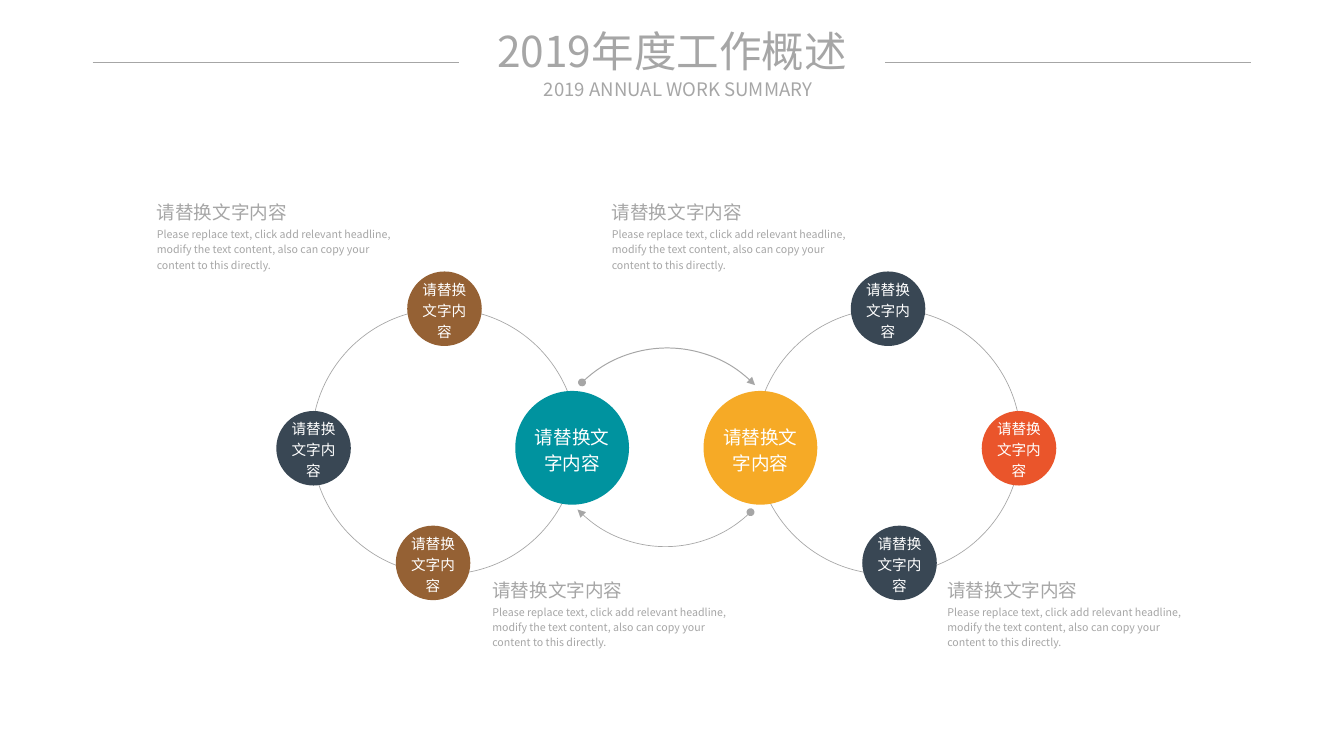
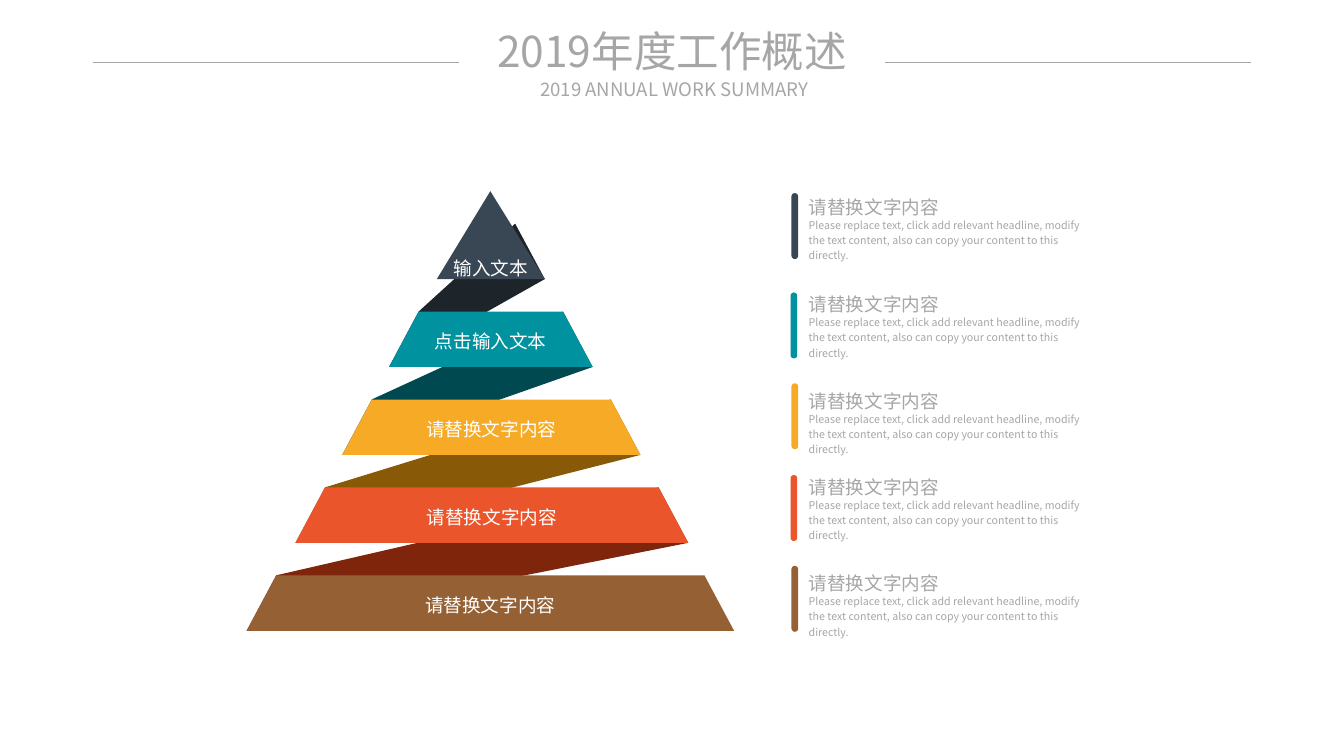
from typing import NamedTuple

from lxml import etree
from pptx import Presentation
from pptx import util as u
from pptx.dml.color import RGBColor
from pptx.enum import shapes, text
from pptx.oxml import ns

PX = u.Inches(1) // 100
FONT = "Noto Sans CJK SC"

GREY = RGBColor(0xA6, 0xA6, 0xA6)
WHITE = RGBColor(0xFF, 0xFF, 0xFF)
SLATE = RGBColor(0x39, 0x47, 0x54)
TEAL = RGBColor(0x00, 0x93, 0x9F)
AMBER = RGBColor(0xF6, 0xAA, 0x26)
ORANGE = RGBColor(0xEA, 0x55, 0x2B)
BROWN = RGBColor(0x95, 0x61, 0x34)
DARK_SLATE = RGBColor(0x1D, 0x24, 0x2A)
DARK_TEAL = RGBColor(0x00, 0x49, 0x50)
DARK_AMBER = RGBColor(0x88, 0x59, 0x06)
DARK_ORANGE = RGBColor(0x7E, 0x25, 0x0C)

TITLE = "2019年度工作概述"
SUBTITLE = "2019 ANNUAL WORK SUMMARY"
HEADING = "请替换文字内容"
DESCRIPTION = (
    "Please replace text, click add relevant headline, modify the text content, "
    "also can copy your content to this directly."
)


class Disc(NamedTuple):
    left: int
    top: int
    size: int
    points: int
    fill: RGBColor
    mirror_fill: RGBColor


class Arc(NamedTuple):
    left: int
    top: int
    rotation: float
    width: float


class Layer(NamedTuple):
    left: int
    right: int
    fill: RGBColor
    fold: RGBColor | None
    label: str


class Entry(NamedTuple):
    bar_left: int
    bar_top: int
    text_top: int


MIRROR_AXIS = 697
RING_LEFT, RING_TOP, RING_SIZE = 326, 323, 278
DISCS = [
    Disc(539, 409, 119, 14, TEAL, AMBER),
    Disc(289, 430, 78, 11, SLATE, ORANGE),
    Disc(426, 284, 78, 11, BROWN, SLATE),
    Disc(414, 550, 78, 11, BROWN, SLATE),
]
ARC_SIZE = 256
ARCS = [Arc(570, 364, 315.9, 0.75), Arc(568, 316, 135.9, 0.5)]
CAPTIONS = [(515, 601), (991, 601), (164, 206), (640, 206)]

LAYER_BOTTOM, LAYER_STEP, LAYER_HEIGHT, LAYER_SLANT = 292, 92, 58, 31
APEX = (513, 200)
LAYERS = [
    Layer(457, 570, SLATE, DARK_SLATE, "输入文本"),
    Layer(407, 620, TEAL, DARK_TEAL, "点击输入文本"),
    Layer(358, 670, AMBER, DARK_AMBER, HEADING),
    Layer(309, 720, ORANGE, DARK_ORANGE, HEADING),
    Layer(258, 768, BROWN, None, HEADING),
]
ENTRIES = [
    Entry(828, 202, 200),
    Entry(827, 306, 302),
    Entry(828, 401, 403),
    Entry(827, 497, 493),
    Entry(828, 592, 594),
]


def place(shape, left: int, top: int, width: int, height: int) -> None:
    shape.left, shape.top = left * PX, top * PX
    shape.width, shape.height = width * PX, height * PX


def write(
    shape,
    content: str,
    points: int,
    colour: RGBColor,
    align=text.PP_ALIGN.CENTER,
    anchor=text.MSO_ANCHOR.MIDDLE,
    spacing: float = 1.2,
    wrap: bool = True,
    fit=text.MSO_AUTO_SIZE.NONE,
) -> None:
    """Fill a shape with one paragraph, without insets."""
    frame = shape.text_frame
    frame.margin_left = frame.margin_right = frame.margin_top = frame.margin_bottom = 0
    frame.vertical_anchor = anchor
    frame.word_wrap = wrap
    frame.auto_size = fit
    paragraph = frame.paragraphs[0]
    paragraph.text = content
    paragraph.alignment = align
    paragraph.line_spacing = spacing
    paragraph.space_before = u.Pt(0)
    font = paragraph.font
    font.size = u.Pt(points)
    font.color.rgb = colour
    font.name = FONT
    defaults = paragraph._p.pPr.find(ns.qn("a:defRPr"))
    etree.SubElement(defaults, ns.qn("a:ea"), typeface=FONT)


def paint(shape, fill: RGBColor) -> None:
    shape.shadow.inherit = False
    shape.fill.solid()
    shape.fill.fore_color.rgb = fill
    shape.line.fill.background()


def outline(shape, width: float) -> None:
    shape.shadow.inherit = False
    shape.fill.background()
    shape.line.color.rgb = GREY
    shape.line.width = u.Pt(width)


def add_preset(slide, kind, left: int, top: int, width: int, height: int):
    return slide.shapes.add_shape(kind, left * PX, top * PX, width * PX, height * PX)


def add_polygon(slide, points: list[tuple[int, int]], fill: RGBColor):
    builder = slide.shapes.build_freeform(*points[0], scale=PX)
    builder.add_line_segments(points[1:], close=True)
    polygon = builder.convert_to_shape()
    paint(polygon, fill)
    return polygon


def add_caption(slide, left: int, top: int, width: int, gap: int) -> None:
    """Add a heading with its description, gap px below the heading's top."""
    for content, points, offset, box_width, height, wrap in (
        (HEADING, 14, 0, 137, 26, False),
        (DESCRIPTION, 8, gap, width, 48, True),
    ):
        box = slide.shapes.add_textbox(0, 0, 0, 0)
        place(box, left, top + offset, box_width, height)
        write(box, content, points, GREY, text.PP_ALIGN.LEFT, text.MSO_ANCHOR.TOP,
              wrap=wrap, fit=text.MSO_AUTO_SIZE.SHAPE_TO_FIT_TEXT)


def add_titled_slide(presentation, subtitle_width: int):
    slide = presentation.slides.add_slide(presentation.slide_layouts[0])
    title, subtitle = slide.placeholders
    place(title, 487, 26, 432, 54)
    write(title, TITLE, 32, GREY, spacing=1.0)
    place(subtitle, 550, 81, subtitle_width, 24)
    write(subtitle, SUBTITLE, 14, GREY, spacing=1.0)
    for start, end in ((97, 480), (926, 1309)):
        rule = slide.shapes.add_connector(
            shapes.MSO_CONNECTOR.STRAIGHT, start * PX, 65 * PX, end * PX, 65 * PX
        )
        rule.line.color.rgb = GREY
        rule.line.width = u.Pt(0.5)
        etree.SubElement(rule._element.spPr, ns.qn("a:effectLst"))
    return slide


def mirrored(left: int, width: int) -> int:
    return 2 * MIRROR_AXIS - left - width


def add_ring(slide, is_mirrored: bool) -> None:
    """Add a ring with its discs, on the left or mirrored to the right."""
    left = mirrored(RING_LEFT, RING_SIZE) if is_mirrored else RING_LEFT
    oval = shapes.MSO_SHAPE.OVAL
    outline(add_preset(slide, oval, left, RING_TOP, RING_SIZE, RING_SIZE), 0.5)
    for disc in DISCS:
        left = mirrored(disc.left, disc.size) if is_mirrored else disc.left
        shape = add_preset(slide, oval, left, disc.top, disc.size, disc.size)
        paint(shape, disc.mirror_fill if is_mirrored else disc.fill)
        write(shape, HEADING, disc.points, WHITE)


def add_arc(slide, arc: Arc) -> None:
    shape = add_preset(slide, shapes.MSO_SHAPE.ARC, arc.left, arc.top, ARC_SIZE, ARC_SIZE)
    shape.rotation = arc.rotation
    outline(shape, arc.width)
    line = shape.line._get_or_add_ln()
    etree.SubElement(line, ns.qn("a:headEnd"), type="oval")
    etree.SubElement(line, ns.qn("a:tailEnd"), type="triangle")


def build_cycle_slide(presentation) -> None:
    slide = add_titled_slide(presentation, 319)
    for is_mirrored in (False, True):
        add_ring(slide, is_mirrored)
    for arc in ARCS:
        add_arc(slide, arc)
    for left, top in CAPTIONS:
        add_caption(slide, left, top, 258, 30)


def build_pyramid_slide(presentation) -> None:
    slide = add_titled_slide(presentation, 311)
    bottoms = [LAYER_BOTTOM + LAYER_STEP * i for i in range(len(LAYERS))]
    tops = [bottom - LAYER_HEIGHT for bottom in bottoms]
    for i, (upper, lower) in enumerate(zip(LAYERS, LAYERS[1:])):
        add_polygon(slide, [
            (upper.right - LAYER_SLANT, tops[i]),
            (lower.left + LAYER_SLANT, tops[i + 1]),
            (lower.left, bottoms[i + 1]),
            (upper.right, bottoms[i]),
        ], upper.fold)
    for i, (layer, top, bottom) in enumerate(zip(LAYERS, tops, bottoms)):
        is_tip = i == 0
        upper_edge = [APEX] if is_tip else [
            (layer.left + LAYER_SLANT, top), (layer.right - LAYER_SLANT, top)
        ]
        base = [(layer.right, bottom), (layer.left, bottom)]
        shape = add_polygon(slide, upper_edge + base, layer.fill)
        anchor = text.MSO_ANCHOR.BOTTOM if is_tip else text.MSO_ANCHOR.MIDDLE
        write(shape, layer.label, 14, WHITE, anchor=anchor)
    for layer, entry in zip(LAYERS, ENTRIES):
        bar = add_preset(slide, shapes.MSO_SHAPE.ROUND_2_SAME_RECTANGLE,
                         entry.bar_left, entry.bar_top, 7, 69)
        bar.adjustments[0] = bar.adjustments[1] = 0.5
        paint(bar, layer.fill)
        add_caption(slide, 846, entry.text_top, 295, 26)


def main() -> None:
    presentation = Presentation()
    presentation.slide_width, presentation.slide_height = 1406 * PX, 791 * PX
    build_cycle_slide(presentation)
    build_pyramid_slide(presentation)
    presentation.save("out.pptx")


if __name__ == "__main__":
    main()
